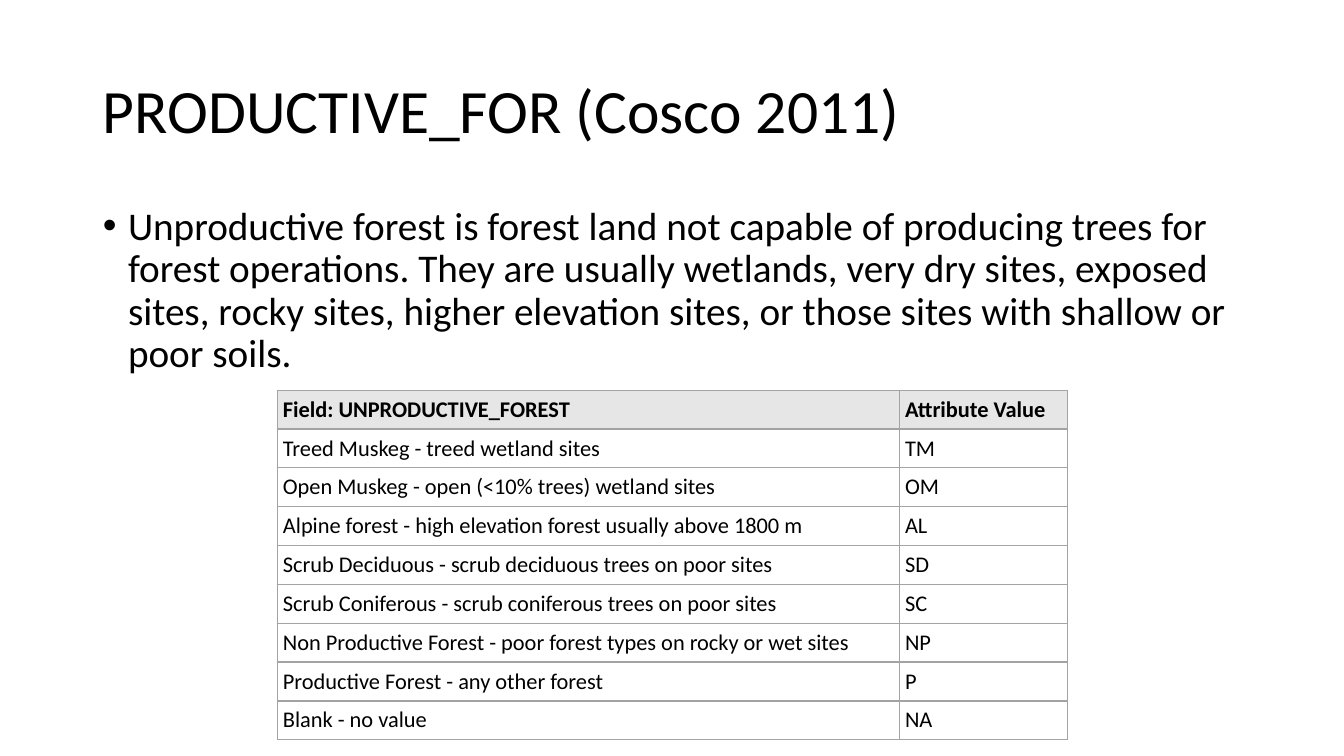
import pptx
import pptx.util
import pptx.dml.color
import pptx.enum.text
import pptx.oxml
import pptx.oxml.ns
from dataclasses import dataclass

TITLE = "PRODUCTIVE_FOR (Cosco 2011)"
DEFINITION = (
    "Unproductive forest is forest land not capable of producing trees for "
    "forest operations. They are usually wetlands, very dry sites, exposed "
    "sites, rocky sites, higher elevation sites, or those sites with shallow "
    "or poor soils."
)
CODES = [
    ("Field: UNPRODUCTIVE_FOREST", "Attribute Value"),
    ("Treed Muskeg - treed wetland sites", "TM"),
    ("Open Muskeg - open (<10% trees) wetland sites", "OM"),
    ("Alpine forest - high elevation forest usually above 1800 m", "AL"),
    ("Scrub Deciduous - scrub deciduous trees on poor sites", "SD"),
    ("Scrub Coniferous - scrub coniferous trees on poor sites", "SC"),
    ("Non Productive Forest - poor forest types on rocky or wet sites", "NP"),
    ("Productive Forest - any other forest", "P"),
    ("Blank - no value", "NA"),
]


@dataclass(frozen=True)
class Theme:
    font: str = "Calibri"
    ink: str = "000000"
    header: str = "E7E6E6"
    border: str = "A3A3A3"
    title_size: int = 44
    body_size: int = 28
    table_size: int = 16


THEME = Theme()
WIDTH, HEIGHT = 13.33, 7.5
MARGIN = 0.92
CONTENT_WIDTH = 11.5
COLUMNS = (6.17, 1.67)
ROW_HEIGHT = 0.36
TABLE_LEFT, TABLE_TOP = 2.75, 3.87
CELL_INSET = pptx.util.Pt(4.1)


def inches(*lengths):
    return [pptx.util.Inches(length) for length in lengths]


def colour(value):
    return pptx.dml.color.RGBColor.from_string(value)


def write(frame, text, size, bold=False, line_spacing=None, space_before=0):
    para = frame.paragraphs[0]
    para.alignment = pptx.enum.text.PP_ALIGN.LEFT
    para.line_spacing = line_spacing
    para.space_before = pptx.util.Pt(space_before)
    span = para.add_run()
    span.text = text
    span.font.name = THEME.font
    span.font.size = pptx.util.Pt(size)
    span.font.bold = bold
    span.font.color.rgb = colour(THEME.ink)
    return para


def place(box, top, height, anchor):
    box.left, box.top, box.width, box.height = inches(
        MARGIN, top, CONTENT_WIDTH, height
    )
    frame = box.text_frame
    frame.word_wrap = True
    frame.auto_size = pptx.enum.text.MSO_AUTO_SIZE.NONE
    frame.vertical_anchor = anchor
    return frame


def add_bullet(para, indent):
    properties = para._p.get_or_add_pPr()
    properties.set("marL", str(pptx.util.Inches(indent)))
    properties.set("indent", str(-pptx.util.Inches(indent)))
    namespace = pptx.oxml.ns.nsdecls("a")
    for tag in ('buFont typeface="Arial"', 'buChar char="•"'):
        name, attribute = tag.split(" ")
        properties.append(
            pptx.oxml.parse_xml(f"<a:{name} {namespace} {attribute}/>")
        )


def add_borders(cell):
    properties = cell._tc.get_or_add_tcPr()
    namespace = pptx.oxml.ns.nsdecls("a")
    for position, side in enumerate(("lnL", "lnR", "lnT", "lnB")):
        line = pptx.oxml.parse_xml(
            f'<a:{side} {namespace} w="{pptx.util.Pt(1)}"><a:solidFill>'
            f'<a:srgbClr val="{THEME.border}"/></a:solidFill></a:{side}>'
        )
        properties.insert(position, line)


def format_cell(cell, text, header):
    cell.margin_left = cell.margin_right = CELL_INSET
    cell.margin_top = cell.margin_bottom = CELL_INSET
    if header:
        cell.fill.solid()
        cell.fill.fore_color.rgb = colour(THEME.header)
    else:
        cell.fill.background()
    add_borders(cell)
    write(cell.text_frame, text, THEME.table_size, bold=header)


def add_code_table(page):
    table = page.shapes.add_table(
        len(CODES),
        len(COLUMNS),
        *inches(TABLE_LEFT, TABLE_TOP, sum(COLUMNS), ROW_HEIGHT * len(CODES)),
    ).table
    table.first_row = False
    table.horz_banding = False
    for column, width in zip(table.columns, COLUMNS):
        column.width = pptx.util.Inches(width)
    for row_index, entry in enumerate(CODES):
        table.rows[row_index].height = pptx.util.Inches(ROW_HEIGHT)
        for column_index, text in enumerate(entry):
            format_cell(table.cell(row_index, column_index), text, row_index == 0)


def main():
    deck = pptx.Presentation()
    deck.slide_width, deck.slide_height = inches(WIDTH, HEIGHT)
    page = deck.slides.add_slide(deck.slide_layouts[1])
    anchors = pptx.enum.text.MSO_ANCHOR
    title = place(page.shapes.title, 0.4, 1.45, anchors.MIDDLE)
    write(title, TITLE, THEME.title_size, line_spacing=0.9)
    body = place(page.placeholders[1], 2, 4.76, anchors.TOP)
    para = write(
        body, DEFINITION, THEME.body_size, line_spacing=0.9, space_before=10
    )
    add_bullet(para, 0.25)
    add_code_table(page)
    deck.save("out.pptx")


if __name__ == "__main__":
    main()
